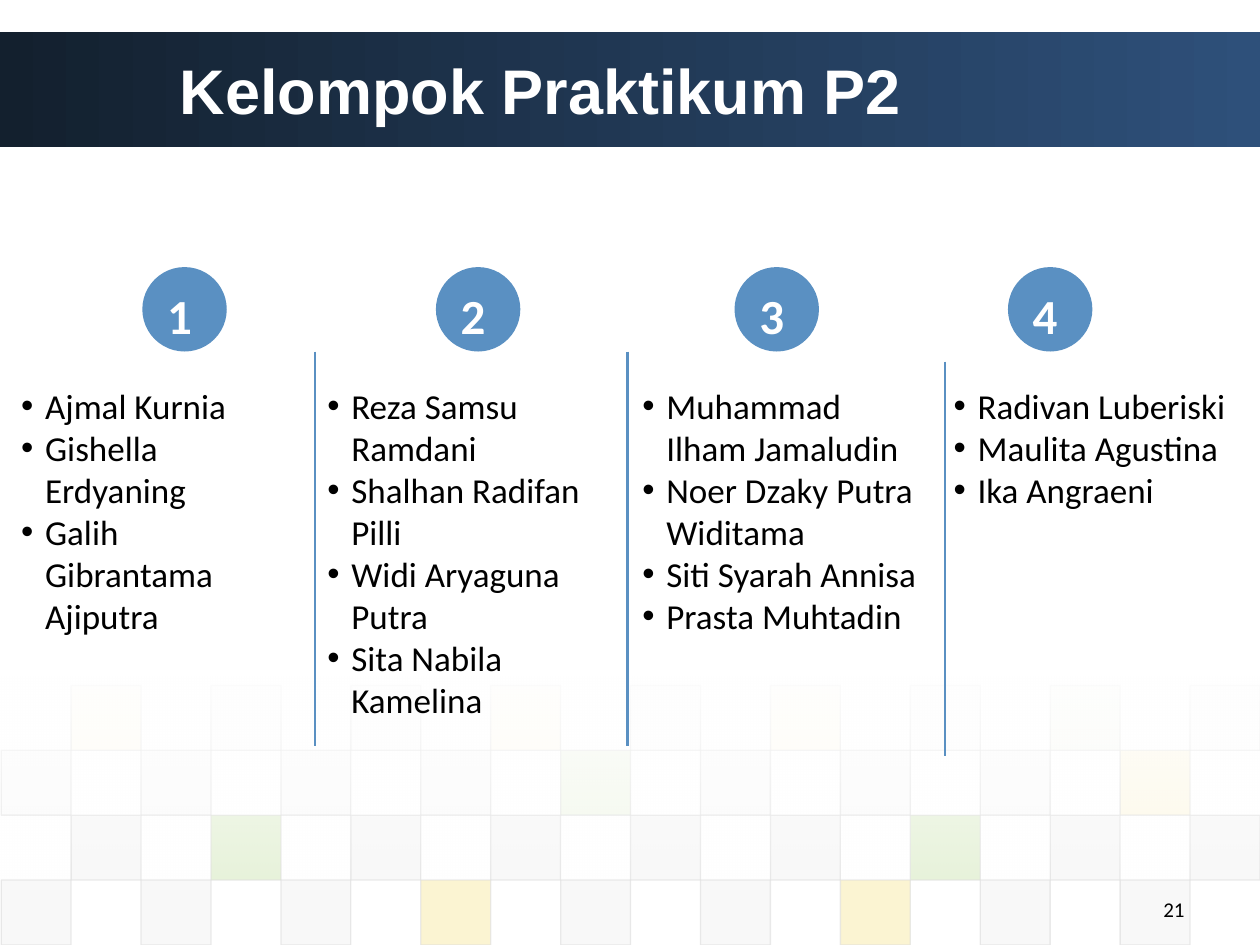
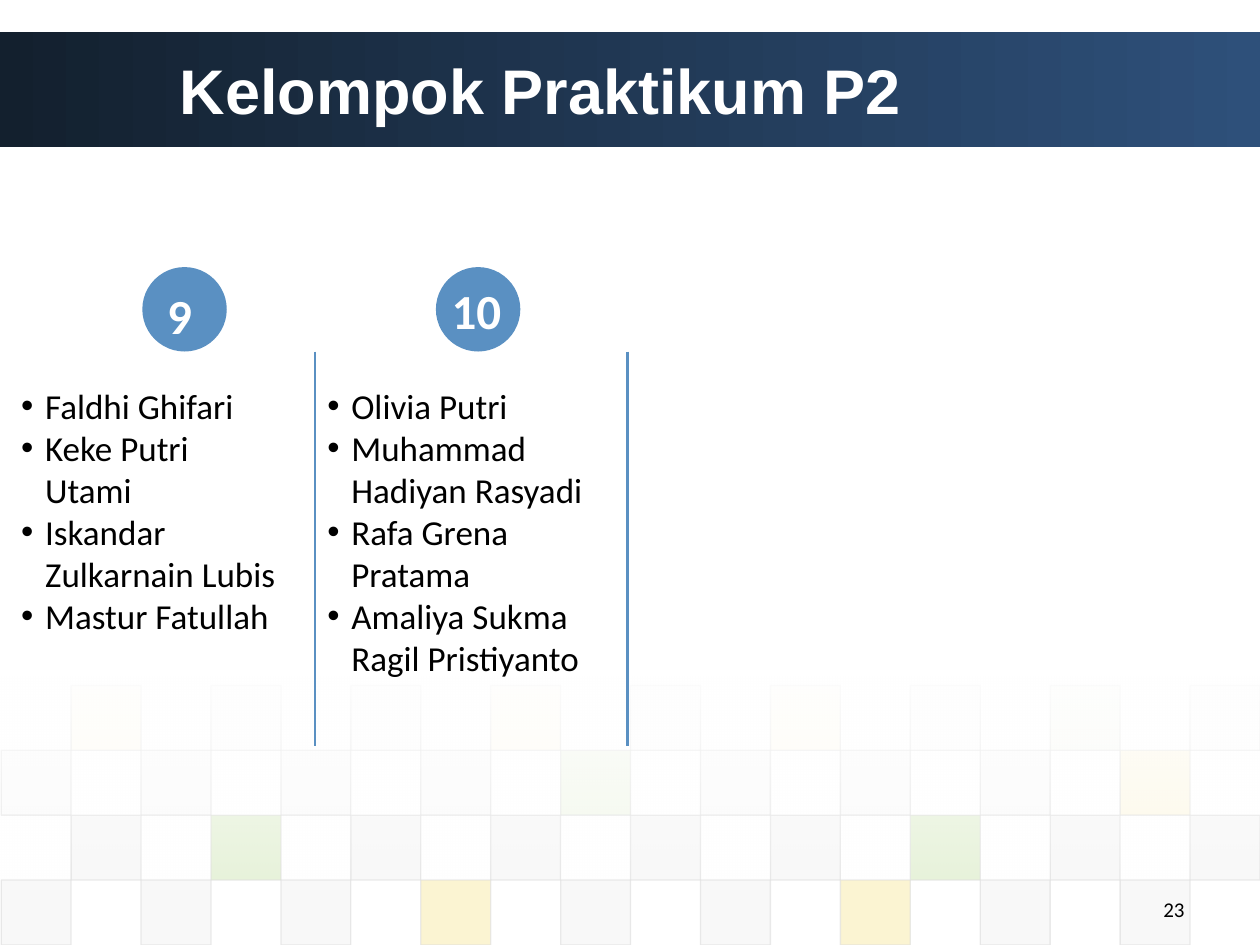
import pptx
import pptx.dml.color
import pptx.enum.shapes
import pptx.enum.text
import pptx.oxml
import pptx.oxml.ns
import pptx.util
from collections import namedtuple
from dataclasses import dataclass

Inches = pptx.util.Inches
Shape = pptx.enum.shapes.MSO_SHAPE
Anchor = pptx.enum.text.MSO_ANCHOR
Align = pptx.enum.text.PP_ALIGN
Box = namedtuple("Box", "left top width height")
Slot = namedtuple("Slot", "left width disc rule drop")
Group = namedtuple("Group", "label height names")


@dataclass(frozen=True)
class Theme:
    head: str = "Arial"
    body: str = "Calibri"
    title: int = 36
    badge: int = 28
    text: int = 20
    foot: int = 12
    white: str = "FFFFFF"
    black: str = "000000"
    blue: str = "5A90C2"
    dark: str = "13202E"
    navy: str = "2E507A"
    edge: str = "DDDDDD"


THEME = Theme()
TINTS = {"D": THEME.edge, "E": "EAEAEA", "G": "8AC246", "Y": "EFC821"}
TILES = [
    (5, ".Y.E.E.Y.D.Y.E.G.E"),
    (10, "D.D.D.D.G.D.D.D.Y."),
    (20, ".D.G.D.D.D.D.G.D.D"),
    (20, "D.D.D.Y.D.D.Y.D.D."),
]
SLOTS = [
    Slot(0.07, 2.26, 1.06, 2.43, 0),
    Slot(2.5, 2.5, 0.96, 2.48, 0),
    Slot(5, 2.42, 0.83, 2.5, 0.08),
    Slot(7.47, 2.58, 0.53, None, 0),
]
PAGES = [
    ("21", [
        Group("1", 2.12, ["Ajmal Kurnia", "Gishella Erdyaning",
                          "Galih Gibrantama Ajiputra"]),
        Group("2", 2.79, ["Reza Samsu Ramdani", "Shalhan Radifan Pilli",
                          "Widi Aryaguna Putra", "Sita Nabila Kamelina"]),
        Group("3", 2.12, ["Muhammad Ilham Jamaludin", "Noer Dzaky Putra Widitama",
                          "Siti Syarah Annisa", "Prasta Muhtadin"]),
        Group("4", 1.11, ["Radivan Luberiski", "Maulita Agustina", "Ika Angraeni"]),
    ]),
    ("23", [
        Group("9", 2.12, ["Faldhi Ghifari", "Keke Putri Utami",
                          "Iskandar Zulkarnain Lubis", "Mastur Fatullah"]),
        Group("10", 2.46, ["Olivia Putri", "Muhammad Hadiyan Rasyadi",
                           "Rafa Grena Pratama", "Amaliya Sukma Ragil Pristiyanto"]),
    ]),
]


def color(code):
    return pptx.dml.color.RGBColor.from_string(code)


def fade(node, *shares):
    tints = node.iter(pptx.oxml.ns.qn("a:srgbClr"))
    for tint, share in zip(tints, shares):
        alpha = pptx.oxml.parse_xml(
            f'<a:alpha {pptx.oxml.ns.nsdecls("a")} val="{share * 1000}"/>')
        tint.append(alpha)


def draw(slide, kind, box, fill=None):
    shape = slide.shapes.add_shape(kind, *map(Inches, box))
    shape.shadow.inherit = False
    shape.line.fill.background()
    if fill:
        shape.fill.solid()
        shape.fill.fore_color.rgb = color(fill)
    else:
        shape.fill.background()
    return shape


def blend(shape, angle, first, last):
    shape.fill.gradient()
    shape.fill.gradient_angle = angle
    for stop, place, code in zip(shape.fill.gradient_stops, (0, 1), (first, last)):
        stop.position = place
        stop.color.rgb = color(code)


def write(para, text, size, code, face=THEME.body, bold=False):
    run = para.add_run()
    run.text = text
    run.font.name = face
    run.font.size = pptx.util.Pt(size)
    run.font.bold = bold
    run.font.color.rgb = color(code)


def frame(slide, box):
    text = slide.shapes.add_textbox(*map(Inches, box)).text_frame
    text.word_wrap = True
    return text


def tiles(slide, box):
    wide, high = box.width / 18, box.height / len(TILES)
    for row, (share, marks) in enumerate(TILES):
        for col, mark in enumerate(marks):
            if mark == ".":
                continue
            spot = Box(box.left + col * wide, box.top + row * high, wide, high)
            tile = draw(slide, Shape.RECTANGLE, spot, TINTS[mark])
            tile.line.color.rgb = color(THEME.edge)
            tile.line.width = pptx.util.Pt(0.75)
            fade(tile.element, share, 60)
    veil = draw(slide, Shape.RECTANGLE, Box(0, box.top - 0.07, 10, 1.62))
    blend(veil, 270, THEME.white, THEME.white)
    fade(veil.element, 90, 0)


def header(slide, box, title):
    band = draw(slide, Shape.RECTANGLE, box)
    blend(band, 0, THEME.dark, THEME.navy)
    text = frame(slide, Box(box.left + 1.33, box.top, box.width - 1.33, box.height))
    text.vertical_anchor = Anchor.MIDDLE
    write(text.paragraphs[0], title, THEME.title, THEME.white, THEME.head, True)


def footer(slide, box, page):
    para = frame(slide, box).paragraphs[0]
    para.alignment = Align.RIGHT
    write(para, page, THEME.foot, THEME.black)


def badge(slide, box, label):
    disc = draw(slide, Shape.OVAL, box, THEME.blue)
    if len(label) > 1:
        wide = Box(box.left - 0.1, box.top - 0.04, box.width + 0.2, box.height)
        disc = draw(slide, Shape.OVAL, wide)
    text = disc.text_frame
    text.word_wrap = True
    text.vertical_anchor = Anchor.TOP
    para = text.paragraphs[0]
    para.alignment = Align.LEFT
    write(para, label, THEME.badge, THEME.white, bold=True)


def roster(slide, box, names):
    text = frame(slide, box)
    text.auto_size = pptx.enum.text.MSO_AUTO_SIZE.SHAPE_TO_FIT_TEXT
    for row, name in enumerate(names):
        para = text.add_paragraph() if row else text.paragraphs[0]
        props = para._p.get_or_add_pPr()
        props.set("marL", str(Inches(0.19)))
        props.set("indent", str(Inches(-0.19)))
        space = pptx.oxml.ns.nsdecls("a")
        props.append(pptx.oxml.parse_xml(f'<a:buFont {space} typeface="Arial"/>'))
        props.append(pptx.oxml.parse_xml(f'<a:buChar {space} char="•"/>'))
        write(para, name, THEME.text, THEME.black)


def divide(slide, left, top):
    ends = map(Inches, (left, top, left, top + 3.13))
    line = slide.shapes.add_connector(
        pptx.enum.shapes.MSO_CONNECTOR.STRAIGHT, *ends)
    line.line.color.rgb = color(THEME.blue)
    line.line.width = pptx.util.Pt(1.5)
    line.element.spPr.append(pptx.oxml.parse_xml(
        f'<a:effectLst {pptx.oxml.ns.nsdecls("a")}/>'))


def column(slide, top, slot, group):
    box = Box(slot.left, top, slot.width, group.height)
    roster(slide, box, group.names)
    badge(slide, Box(box.left + slot.disc, top - 0.88, 0.67, 0.67), group.label)
    if slot.rule:
        divide(slide, box.left + slot.rule, top - 0.21 + slot.drop)


def build(deck, page, groups):
    slide = deck.slides.add_slide(deck.slide_layouts[6])
    tiles(slide, Box(0.01, 5.44, 9.99, 2.06))
    header(slide, Box(0, 0.25, 10, 0.92), "Kelompok Praktikum P2")
    footer(slide, Box(7.17, 7.07, 2.33, 0.33), page)
    for slot, group in zip(SLOTS, groups):
        column(slide, 3, slot, group)


def main():
    deck = pptx.Presentation()
    deck.slide_width, deck.slide_height = Inches(10), Inches(7.5)
    for page, groups in PAGES:
        build(deck, page, groups)
    deck.save("out.pptx")


if __name__ == "__main__":
    main()
